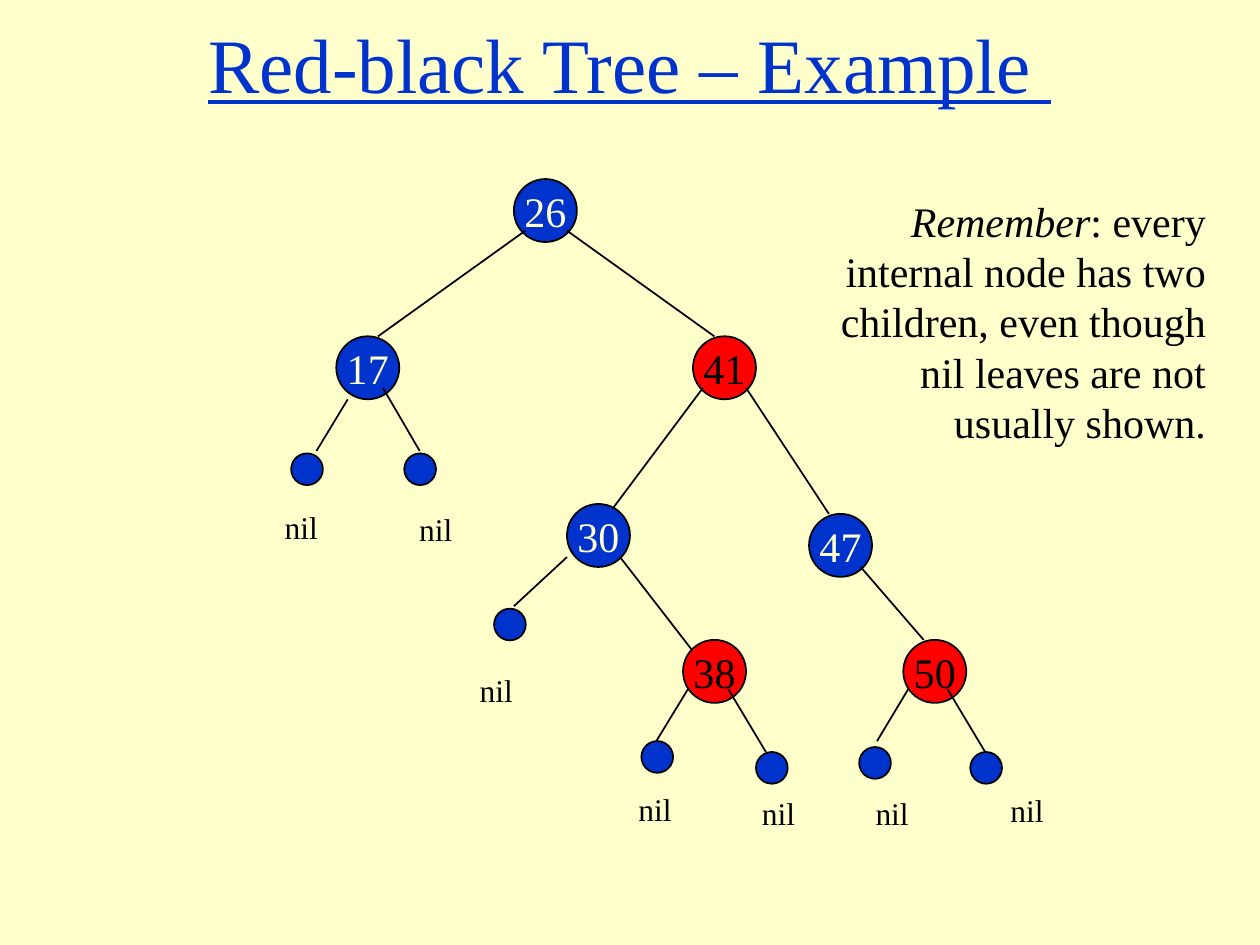
from dataclasses import dataclass

from lxml.etree import SubElement
from pptx import Presentation
from pptx.dml.color import RGBColor
from pptx.enum.shapes import MSO_CONNECTOR, MSO_SHAPE
from pptx.enum.text import MSO_ANCHOR, PP_ALIGN
from pptx.oxml.ns import qn
from pptx.util import Cm, Pt


@dataclass(frozen=True)
class Theme:
    font: str = "Times New Roman"
    cream: RGBColor = RGBColor(0xFF, 0xFF, 0xCC)
    blue: RGBColor = RGBColor(0x00, 0x33, 0xCC)
    red: RGBColor = RGBColor(0xFF, 0x00, 0x00)
    black: RGBColor = RGBColor(0x00, 0x00, 0x00)
    title: Pt = Pt(44)
    body: Pt = Pt(24)
    label: Pt = Pt(18)
    line: Pt = Pt(1)


theme = Theme()
prs = Presentation()
prs.slide_width, prs.slide_height = Cm(25.4), Cm(19.05)
s = prs.slides.add_slide(prs.slide_layouts[6])
s.background.fill.solid()
s.background.fill.fore_color.rgb = theme.cream


def add_run(p, text, size, color):
    r = p.add_run()
    r.text = text
    r.font.name, r.font.size = theme.font, size
    r.font.color.rgb = color
    return r


def add_circle(x, y, diameter, fill):
    sp = s.shapes.add_shape(MSO_SHAPE.OVAL, Cm(x), Cm(y), Cm(diameter), Cm(diameter))
    sp.shadow.inherit = False
    sp.fill.solid()
    sp.fill.fore_color.rgb = fill
    sp.line.color.rgb = theme.black
    sp.line.width = theme.line
    return sp


tf = s.shapes.add_textbox(Cm(0), Cm(0), Cm(25.4), Cm(2.54)).text_frame
tf.word_wrap = True
tf.vertical_anchor = MSO_ANCHOR.MIDDLE
p = tf.paragraphs[0]
p.alignment = PP_ALIGN.CENTER
add_run(p, "Red-black Tree – Example ", theme.title, theme.blue).font.underline = True

tf = s.shapes.add_textbox(Cm(15.67), Cm(3.81), Cm(8.89), Cm(5.33)).text_frame
tf.word_wrap = True
p = tf.paragraphs[0]
p.alignment = PP_ALIGN.RIGHT
add_run(p, "Remember", theme.body, theme.black).font.italic = True
add_run(
    p,
    ": every internal node has two children, even though nil leaves are not usually shown.",
    theme.body,
    theme.black,
)

black_node = (theme.blue, theme.cream)
red_node = (theme.red, theme.black)
nodes = [
    ("26", 10.36, 3.61, black_node, [(10.59, 4.65, 7.62, 6.78), (11.43, 4.65, 14.4, 6.78)]),
    ("17", 6.78, 6.78, black_node, [(7.01, 8.05, 6.38, 9.09), (7.72, 7.82, 8.46, 9.09)]),
    ("41", 13.97, 6.78, red_node, [(14.17, 7.82, 12.27, 10.36), (15.04, 7.82, 16.71, 10.36)]),
    ("30", 11.43, 10.16, black_node, [(11.43, 11.23, 10.36, 12.22), (12.5, 11.23, 13.97, 13.13)]),
    ("47", 16.31, 10.36, black_node, [(17.35, 11.43, 18.62, 12.9)]),
    ("38", 13.77, 12.9, red_node, [(13.87, 13.89, 13.23, 14.94), (14.68, 13.89, 15.44, 15.16)]),
    ("50", 18.21, 12.9, red_node, [(18.31, 13.89, 17.68, 14.94), (19.1, 13.89, 19.86, 15.16)]),
]
for key, x, y, (fill, ink), edges in nodes:
    tf = add_circle(x, y, 1.27, fill).text_frame
    tf.word_wrap = False
    tf.vertical_anchor = MSO_ANCHOR.MIDDLE
    p = tf.paragraphs[0]
    p.alignment = PP_ALIGN.CENTER
    add_run(p, key, theme.body, ink)
    for edge in edges:
        cxn = s.shapes.add_connector(MSO_CONNECTOR.STRAIGHT, *map(Cm, edge))
        cxn.line.color.rgb = theme.black
        cxn.line.width = theme.line
        SubElement(cxn._element.spPr, qn("a:effectLst"))

leaves = [
    (5.87, 9.14, 5.49, 10.11),
    (8.15, 9.14, 8.2, 10.16),
    (9.96, 12.27, 9.42, 13.41),
    (12.93, 14.94, 12.62, 15.8),
    (15.24, 15.16, 15.11, 15.88),
    (17.32, 15.06, 17.4, 15.88),
    (19.56, 15.16, 20.12, 15.82),
]
for x, y, label_x, label_y in leaves:
    add_circle(x, y, 0.64, theme.blue)
    tf = s.shapes.add_textbox(Cm(label_x), Cm(label_y), Cm(1.19), Cm(1.02)).text_frame
    tf.word_wrap = False
    add_run(tf.paragraphs[0], "nil", theme.label, theme.black)

prs.save("out.pptx")
